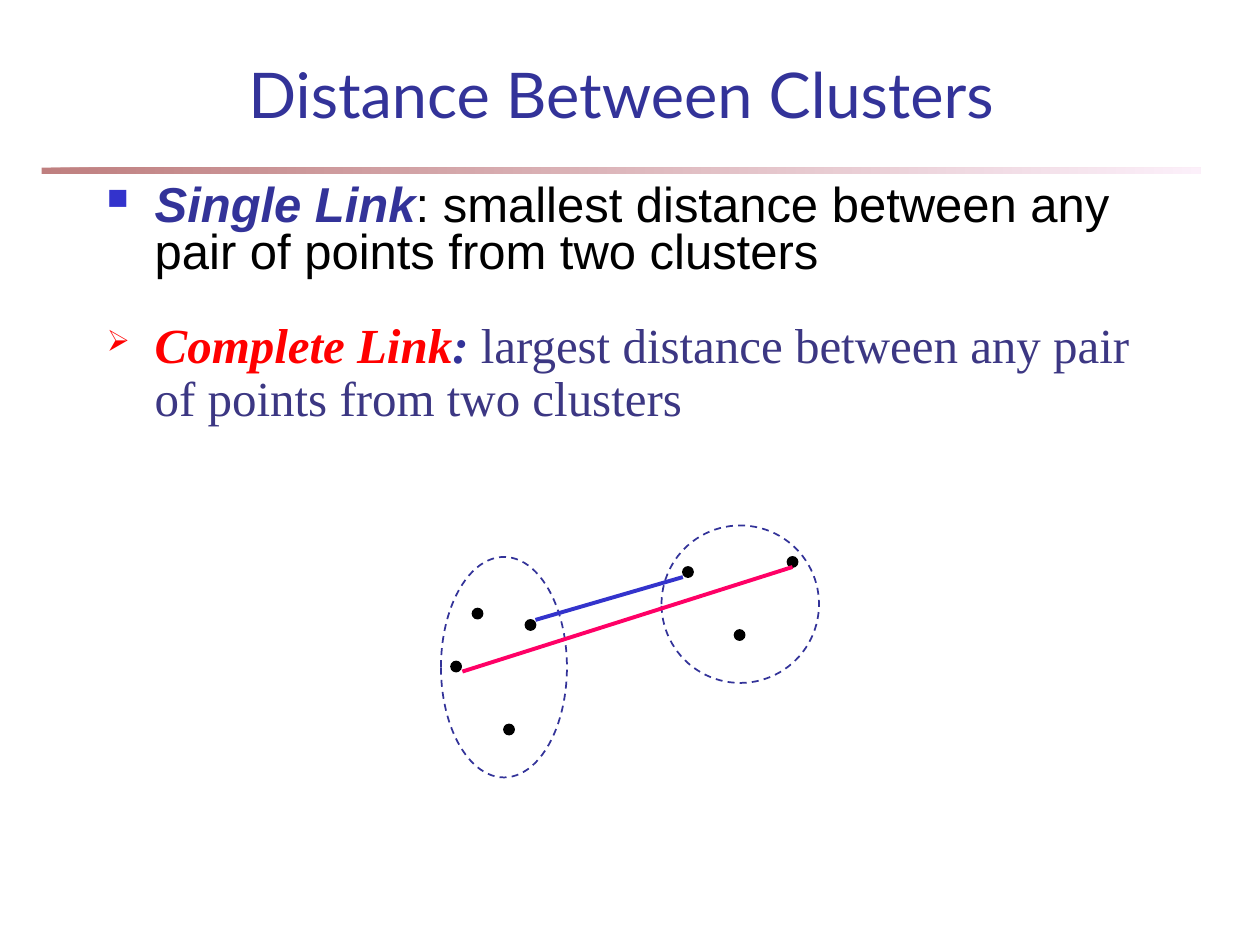
"""Build a slide comparing single-link and complete-link cluster distances."""
from dataclasses import dataclass

from lxml.etree import SubElement
from pptx import Presentation
from pptx.dml.color import RGBColor
from pptx.enum.dml import MSO_LINE_DASH_STYLE as Dash
from pptx.enum.shapes import MSO_CONNECTOR, MSO_SHAPE
from pptx.enum.text import MSO_ANCHOR, MSO_AUTO_SIZE, PP_ALIGN
from pptx.oxml.ns import qn
from pptx.util import Inches, Pt


@dataclass(frozen=True)
class Theme:
    """Colours, fonts and type sizes of the slide."""
    navy: str = "333399"
    blue: str = "3333CC"
    violet: str = "3C3783"
    red: str = "FF0000"
    pink: str = "FF0066"
    black: str = "000000"
    white: str = "FFFFFF"
    rule: tuple = ("800000", "FAE2F6")
    title_font: str = "Lato"
    sans: str = "Arial"
    serif: str = "Times New Roman"
    title_size: int = 36
    body_size: int = 28


THEME = Theme()
TITLE = "Distance Between Clusters"
SINGLE_LINK = [
    ("Single Link", THEME.navy, True),
    (": smallest distance between any pair of points from two clusters", THEME.black, False),
]
COMPLETE_LINK = [
    ("Complete Link", THEME.red, True),
    (":", THEME.navy, True),
    (" largest distance between any pair of points from two clusters", THEME.violet, False),
]
DOT_SIZE = 0.08
CLUSTERS = [
    {"box": (3.5, 4.42, 1, 1.75),
     "points": [(3.75, 4.83), (4.17, 4.92), (4, 5.75), (3.58, 5.25)]},
    {"box": (5.25, 4.17, 1.25, 1.25),
     "points": [(5.83, 5), (5.42, 4.5), (6.25, 4.42)]},
]
LINKS = [
    ((4.25, 4.92), (5.42, 4.58), THEME.blue),
    ((3.67, 5.33), (6.29, 4.5), THEME.pink),
]


def rgb(value):
    """Return the colour for a hex value."""
    return RGBColor.from_string(value)


def inches(values):
    """Convert numbers to lengths."""
    return [Inches(value) for value in values]


def add_preset(slide, preset, box, fill=None, line=None, width=1):
    """Add a preset shape with plain fill and line."""
    shape = slide.shapes.add_shape(preset, *inches(box))
    shape.shadow.inherit = False
    if fill:
        shape.fill.solid()
        shape.fill.fore_color.rgb = rgb(fill)
    else:
        shape.fill.background()
    if line:
        shape.line.color.rgb = rgb(line)
        shape.line.width = Pt(width)
    else:
        shape.line.fill.background()
    return shape


def add_run(paragraph, text, font, size, color, emphasis=False):
    """Add one formatted run."""
    run = paragraph.add_run()
    run.text = text
    run.font.name = font
    run.font.size = Pt(size)
    run.font.color.rgb = rgb(color)
    run.font.bold = run.font.italic = emphasis


def add_rule(slide):
    """Add the fading bar under the title."""
    bar = add_preset(slide, MSO_SHAPE.RECTANGLE, (0.33, 1.33, 9.2, 0.05))
    bar.fill.gradient()
    bar.fill.gradient_angle = 0
    for stop, color in zip(bar.fill.gradient_stops, THEME.rule):
        stop.color.rgb = rgb(color)
    for color in bar._element.spPr.iter(qn("a:srgbClr")):
        SubElement(color, qn("a:alpha"), val="50000")


def set_title(slide):
    """Place and format the title."""
    title = slide.shapes.title
    title.left, title.top, title.width, title.height = inches((0.67, 0.42, 8.52, 0.67))
    frame = title.text_frame
    frame.auto_size = MSO_AUTO_SIZE.NONE
    frame.vertical_anchor = MSO_ANCHOR.BOTTOM
    paragraph = frame.paragraphs[0]
    paragraph.alignment = PP_ALIGN.CENTER
    add_run(paragraph, TITLE, THEME.title_font, THEME.title_size, THEME.navy)


def write_definition(shape, runs, font, bullet, bullet_color, spacing):
    """Write one bulleted definition into a shape."""
    frame = shape.text_frame
    frame.word_wrap = True
    frame.vertical_anchor = MSO_ANCHOR.TOP
    paragraph = frame.paragraphs[0]
    properties = paragraph._p.get_or_add_pPr()
    properties.set("marL", str(Inches(0.38)))
    properties.set("indent", str(Inches(-0.38)))
    color = SubElement(properties, qn("a:buClr"))
    SubElement(color, qn("a:srgbClr"), val=bullet_color)
    SubElement(properties, qn("a:buSzPct"), val="60000")
    SubElement(properties, qn("a:buChar"), char=bullet)
    paragraph.alignment = PP_ALIGN.LEFT
    paragraph.line_spacing = spacing
    for text, text_color, emphasis in runs:
        add_run(paragraph, text, font, THEME.body_size, text_color, emphasis)


def add_link(slide, start, end, color):
    """Add a distance line between two points."""
    link = slide.shapes.add_connector(MSO_CONNECTOR.STRAIGHT, *inches(start + end))
    link.line.color.rgb = rgb(color)
    link.line.width = Pt(2.25)
    SubElement(link._element.spPr, qn("a:effectLst"))


def main():
    """Build and save the presentation."""
    presentation = Presentation()
    presentation.slide_width, presentation.slide_height = inches((10, 7.5))
    slide = presentation.slides.add_slide(presentation.slide_layouts[5])
    add_rule(slide)
    set_title(slide)
    single = slide.shapes.add_textbox(*inches((0.75, 1.42, 8.5, 0.92)))
    write_definition(single, SINGLE_LINK, THEME.sans, "■", THEME.blue, 0.8)
    for cluster in CLUSTERS:
        for point in cluster["points"]:
            add_preset(slide, MSO_SHAPE.OVAL, point + (DOT_SIZE, DOT_SIZE),
                       THEME.black, THEME.black)
    for cluster in CLUSTERS:
        outline = add_preset(slide, MSO_SHAPE.OVAL, cluster["box"], line=THEME.navy)
        outline.line.dash_style = Dash.DASH
    for start, end, color in LINKS:
        add_link(slide, start, end, color)
    complete = add_preset(slide, MSO_SHAPE.RECTANGLE, (0.75, 2.5, 8.5, 1.08),
                          THEME.white, THEME.white, 0.75)
    write_definition(complete, COMPLETE_LINK, THEME.serif, "➢", THEME.red, 0.9)
    presentation.save("out.pptx")


if __name__ == "__main__":
    main()
